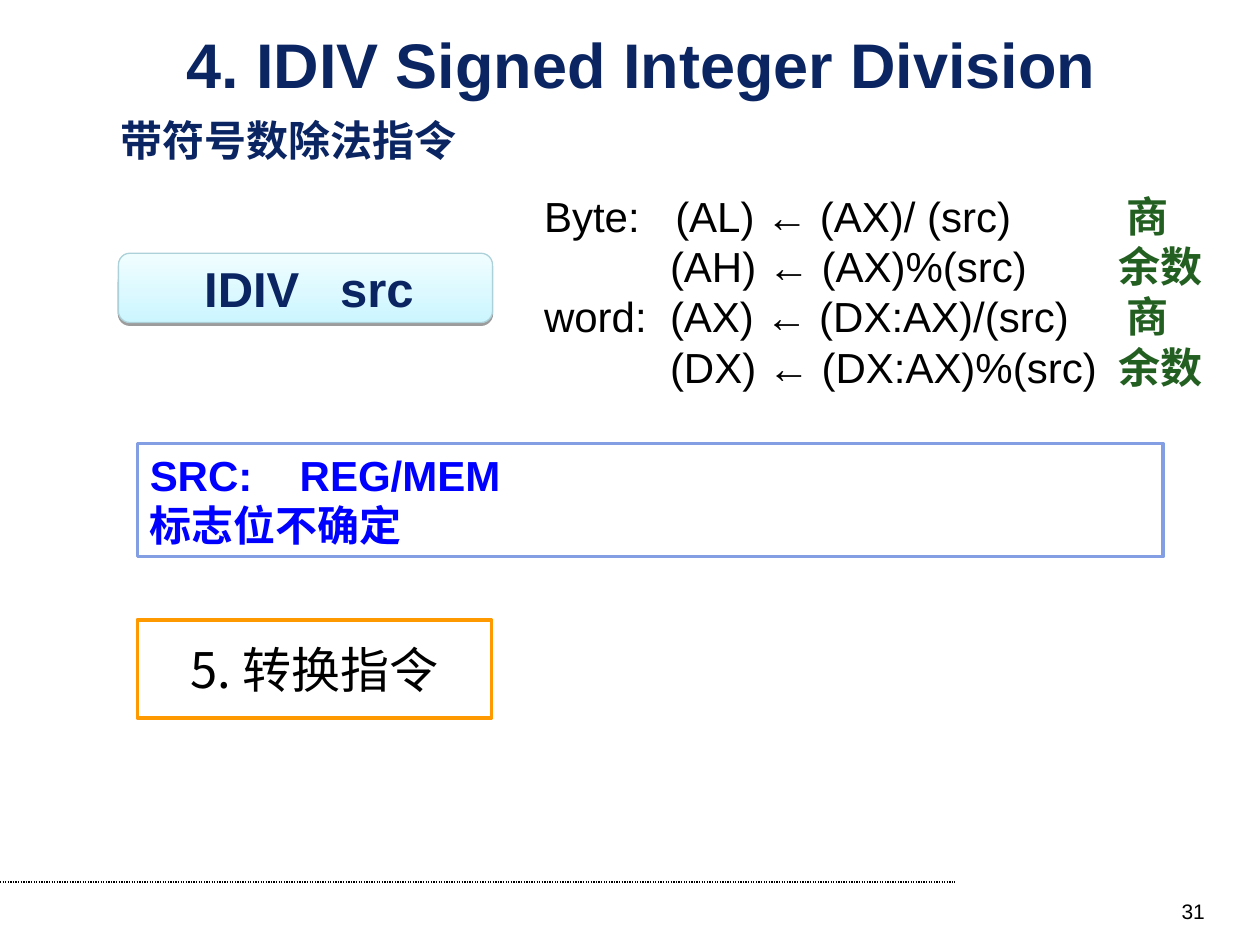
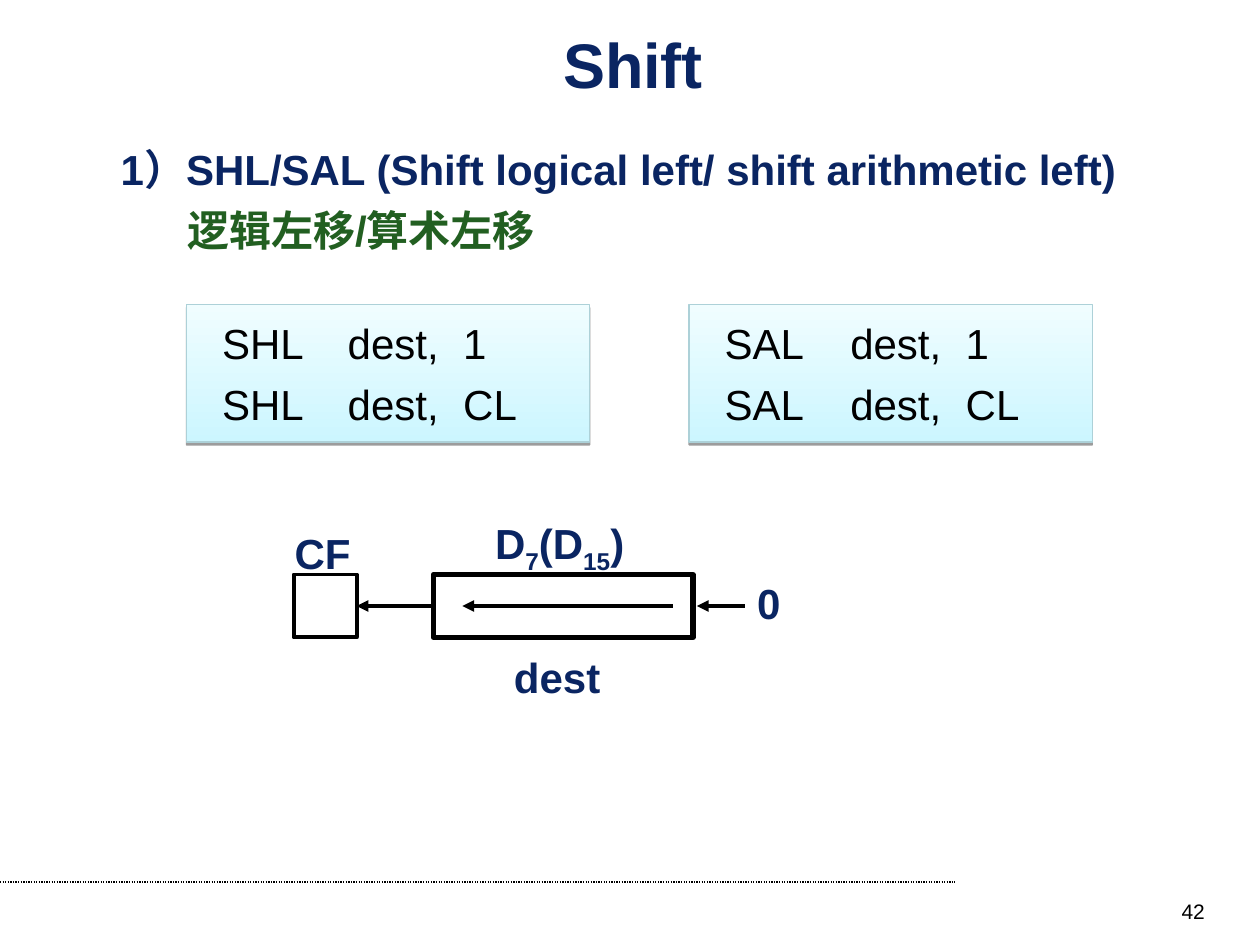
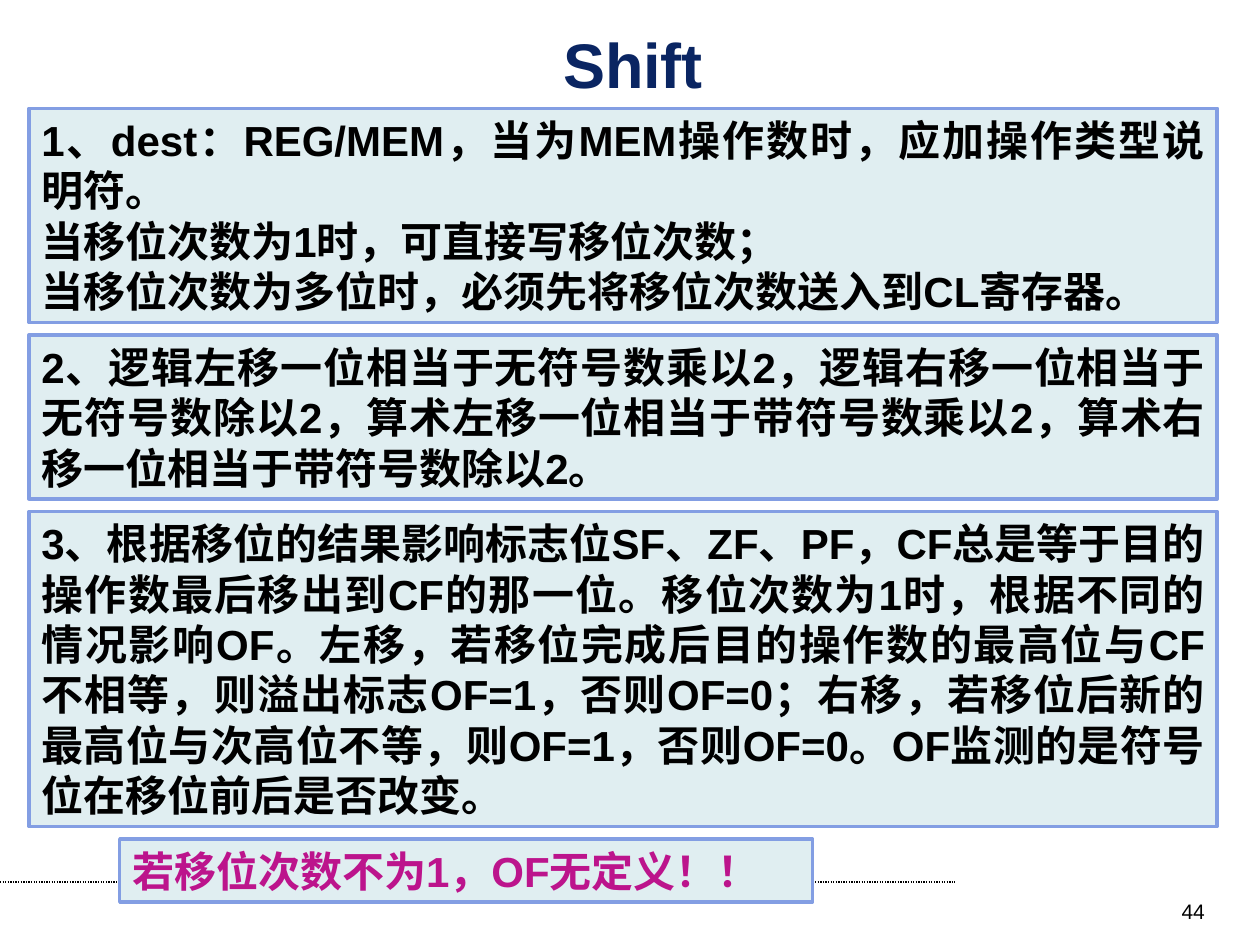
from lxml import etree
from pptx import Presentation
from pptx import util as u
from pptx.dml.color import RGBColor
from pptx.enum import dml, shapes, text
from pptx.oxml.ns import qn

Pt = u.Pt
BOX, ROUND = shapes.MSO_SHAPE.RECTANGLE, shapes.MSO_SHAPE.ROUNDED_RECTANGLE
LEFT, CENTER, RIGHT, JUSTIFY = (text.PP_ALIGN.LEFT, text.PP_ALIGN.CENTER,
                                text.PP_ALIGN.RIGHT, text.PP_ALIGN.JUSTIFY)
COLORS = {"navy": "0A2562", "black": "000000", "green": "225F21", "blue": "0000FF",
          "magenta": "BC148C", "white": "FFFFFF", "orange": "FF9900",
          "frame": "839EE3", "note": "E0EEF1", "edge": "ADD1D8",
          "glow_low": "CCF6FF", "glow_high": "F0FDFF"}

# ---- Content ----
# Formula rows: label, formula, result, tab stops in points
FORMULAS = [
    ("Byte:", "(AL) ← (AX)/ (src)", "商", (75, 333)),
    ("", "(AH) ← (AX)%(src)", "余数", (72, 328.5)),
    ("word:", "(AX) ← (DX:AX)/(src)", "商", (72, 333)),
    ("", "(DX) ← (DX:AX)%(src)", "余数", (72, 328.5)),
]
SHIFT_OPS = ["SHL", "SAL"]
SHIFT_COUNTS = ["1", "CL"]
# Notes: height, paragraphs
NOTES = [
    (122.4, ["1、dest：REG/MEM，当为MEM操作数时，应加操作类型说明符。",
             "当移位次数为1时，可直接写移位次数；",
             "当移位次数为多位时，必须先将移位次数送入到CL寄存器。"]),
    (93.6, ["2、逻辑左移一位相当于无符号数乘以2，逻辑右移一位相当于无符号数除以2，"
            "算术左移一位相当于带符号数乘以2，算术右移一位相当于带符号数除以2。"]),
    (180, ["3、根据移位的结果影响标志位SF、ZF、PF，CF总是等于目的操作数最后移出到CF的那一位。"
           "移位次数为1时，根据不同的情况影响OF。左移，若移位完成后目的操作数的最高位与CF不相等，"
           "则溢出标志OF=1，否则OF=0；右移，若移位后新的最高位与次高位不等，则OF=1，否则OF=0。"
           "OF监测的是符号位在移位前后是否改变。"]),
]
WARNING = "若移位次数不为1，OF无定义！！"


# ---- Helpers ----
def rgb(name):
    return RGBColor.from_string(COLORS[name])


def run(words, color="black", bold=False, size=24, font="Arial", base=0):
    return dict(words=words, color=color, bold=bold, size=size, font=font, base=base)


def para(*runs, align=LEFT, before=0, tabs=()):
    return dict(runs=runs, align=align, before=before, tabs=tabs)


def write(sp, paras, anchor=text.MSO_ANCHOR.TOP, inset=(7.2, 3.6)):
    tf = sp.text_frame
    tf.word_wrap = True
    tf.auto_size = text.MSO_AUTO_SIZE.NONE
    tf.vertical_anchor = anchor
    tf.margin_left = tf.margin_right = Pt(inset[0])
    tf.margin_top = tf.margin_bottom = Pt(inset[1])
    for i, item in enumerate(paras):
        p = tf.paragraphs[0] if i == 0 else tf.add_paragraph()
        p.alignment = item["align"]
        p.space_before = Pt(item["before"] if i else 0)
        if item["tabs"]:
            stops = etree.SubElement(p._p.get_or_add_pPr(), qn("a:tabLst"))
            for pos in item["tabs"]:
                etree.SubElement(stops, qn("a:tab"), pos=str(int(Pt(pos))), algn="l")
        for part in item["runs"]:
            r = p.add_run()
            r.text = part["words"]
            r.font.name, r.font.size = part["font"], Pt(part["size"])
            r.font.bold = part["bold"]
            r.font.color.rgb = rgb(part["color"])
            if part["base"]:
                r._r.get_or_add_rPr().set("baseline", str(part["base"] * 1000))
            if part["font"] != "Arial":
                etree.SubElement(r._r.get_or_add_rPr(), qn("a:ea"), typeface=part["font"])


def label(parent, at, *paras):
    sp = parent.add_textbox(*map(Pt, at))
    write(sp, paras)
    return sp


def box(parent, at, line, width, fill=None, kind=BOX):
    sp = parent.add_shape(kind, *map(Pt, at))
    sp.shadow.inherit = False
    sp.line.color.rgb, sp.line.width = rgb(line), Pt(width)
    if fill:
        sp.fill.solid()
        sp.fill.fore_color.rgb = rgb(fill)
    else:
        sp.fill.background()
    return sp


def glow_box(parent, at, kind=BOX):
    """Pale cyan gradient box with a thin shadow below."""
    sp = box(parent, at, "edge", 0.75, kind=kind)
    sp.fill.gradient()
    sp.fill.gradient_angle = 90
    for stop, name in zip(sp.fill.gradient_stops, ("glow_low", "glow_high")):
        stop.color.rgb = rgb(name)
    effects = sp._element.spPr.find(qn("a:effectLst"))
    shadow = etree.SubElement(effects, qn("a:outerShdw"), blurRad="0",
                              dist=str(int(Pt(1.6))), dir="5400000", rotWithShape="0")
    color = etree.SubElement(shadow, qn("a:srgbClr"), val=COLORS["black"])
    etree.SubElement(color, qn("a:alpha"), val="38000")
    return sp


def line(parent, x1, x2, y, width, arrow=True):
    c = parent.add_connector(shapes.MSO_CONNECTOR.STRAIGHT, Pt(x1), Pt(y), Pt(x2), Pt(y))
    c.line.color.rgb, c.line.width = rgb("black"), Pt(width)
    if arrow:
        etree.SubElement(c.line._get_or_add_ln(), qn("a:tailEnd"), type="triangle")
    etree.SubElement(c._element.spPr, qn("a:effectLst"))
    return c


def new_slide(prs, title, number, at=(36, 18, 651.6, 36)):
    """Title, footer rule and page number shared by all slides."""
    s = prs.slides.add_slide(prs.slide_layouts[5])
    sp = s.shapes.title
    sp.left, sp.top, sp.width, sp.height = map(Pt, at)
    write(sp, [para(run(title, "navy", True, 36), align=CENTER)],
          text.MSO_ANCHOR.MIDDLE, (0, 0))
    rule = line(s.shapes, 0, 545.8, 504, 0.75, arrow=False)
    rule.line.dash_style = dml.MSO_LINE.ROUND_DOT
    label(s.shapes, (527.8, 509.8, 167.8, 19.4), para(run(number, size=12), align=RIGHT))
    return s.shapes


# ---- Slides ----
def division_slide(prs):
    s = new_slide(prs, "4. IDIV Signed Integer Division", "31", (24.5, 18, 684, 36))
    label(s, (61.9, 61.9, 230.4, 36), para(run("带符号数除法指令", "navy", True)))
    sp = glow_box(s, (67.7, 144.7, 213.8, 39.6), ROUND)
    write(sp, [para(run("\tIDIV\tsrc", "navy", True, 28), tabs=(40, 117.7))],
          text.MSO_ANCHOR.MIDDLE)
    label(s, (303.8, 105.1, 399.6, 122.4),
          *[para(run(f"{name}\t{formula}\t"), run(result, "green", True), tabs=tabs)
            for name, formula, result, tabs in FORMULAS])
    sp = box(s, (78.5, 253.4, 586, 64.8), "frame", 2, "white")
    write(sp, [para(run("SRC:\tREG/MEM", "blue", True), tabs=(85.7,)),
               para(run("标志位不确定", "blue", True))])
    sp = box(s, (78.5, 354.2, 202.3, 56.2), "orange", 2, "white")
    write(sp, [para(run("5. 转换指令", size=28, font="Noto Sans CJK SC"), align=CENTER)],
          text.MSO_ANCHOR.MIDDLE)


def shift_slide(prs):
    s = new_slide(prs, "Shift", "42")
    label(s, (61.9, 78.5, 607.7, 71.3),
          para(run("1）SHL/SAL (Shift logical left/ shift arithmetic left)", "navy", True)),
          para(run("\t逻辑左移/算术左移", "green", True), before=6, tabs=(38,)))
    for i, op in enumerate(SHIFT_OPS):
        sp = glow_box(s, (106.6 + 287.2 * i, 174.2, 230.4, 78.5))
        write(sp, [para(run(f"\t{op}\tdest,\t{count}"), before=6, tabs=(13.2, 85, 151))
                   for count in SHIFT_COUNTS], text.MSO_ANCHOR.MIDDLE)

    # Shift diagram: 0 -> dest -> CF
    g = s.add_group_shape().shapes
    top, height = 328.3, 36
    mid = top + height / 2
    carry = box(g, (167.8, top, 36, height), "black", 2.25)
    dest = box(g, (247.7, top, 148.3, height), "black", 3)
    out = line(g, 247.7, 203.8, mid, 2.25)
    out.begin_connect(dest, 1)
    out.end_connect(carry, 3)
    line(g, 384.5, 264.2, mid, 2.25)
    line(g, 425.5, 398.2, mid, 2.25)
    for words, at in [("CF", (161.3, 298.1, 48.2, 36)), ("0", (425.5, 326.2, 30.2, 36)),
                      ("dest", (286.6, 368.6, 90, 36))]:
        label(g, at, para(run(words, "navy", True)))
    label(g, (275.8, 292.3, 90, 40.3),
          para(*[run(words, "navy", True, base=base) for words, base in
                 [("D", 0), ("7", -25), ("(D", 0), ("15", -25), (")", 0)]]))


def notes_slide(prs):
    s = new_slide(prs, "Shift", "44")
    top, gap = 61.9, 7.2
    for height, lines in NOTES:
        sp = box(s, (16.6, top, 679, height), "frame", 2, "note")
        write(sp, [para(run(words, bold=True), align=JUSTIFY) for words in lines])
        top += height + gap
    sp = box(s, (68.4, top, 396, 36), "frame", 2, "note")
    write(sp, [para(run(WARNING, "magenta", True))])


def main():
    prs = Presentation()
    prs.slide_width, prs.slide_height = Pt(720), Pt(540)
    division_slide(prs)
    shift_slide(prs)
    notes_slide(prs)
    prs.save("out.pptx")


if __name__ == "__main__":
    main()
